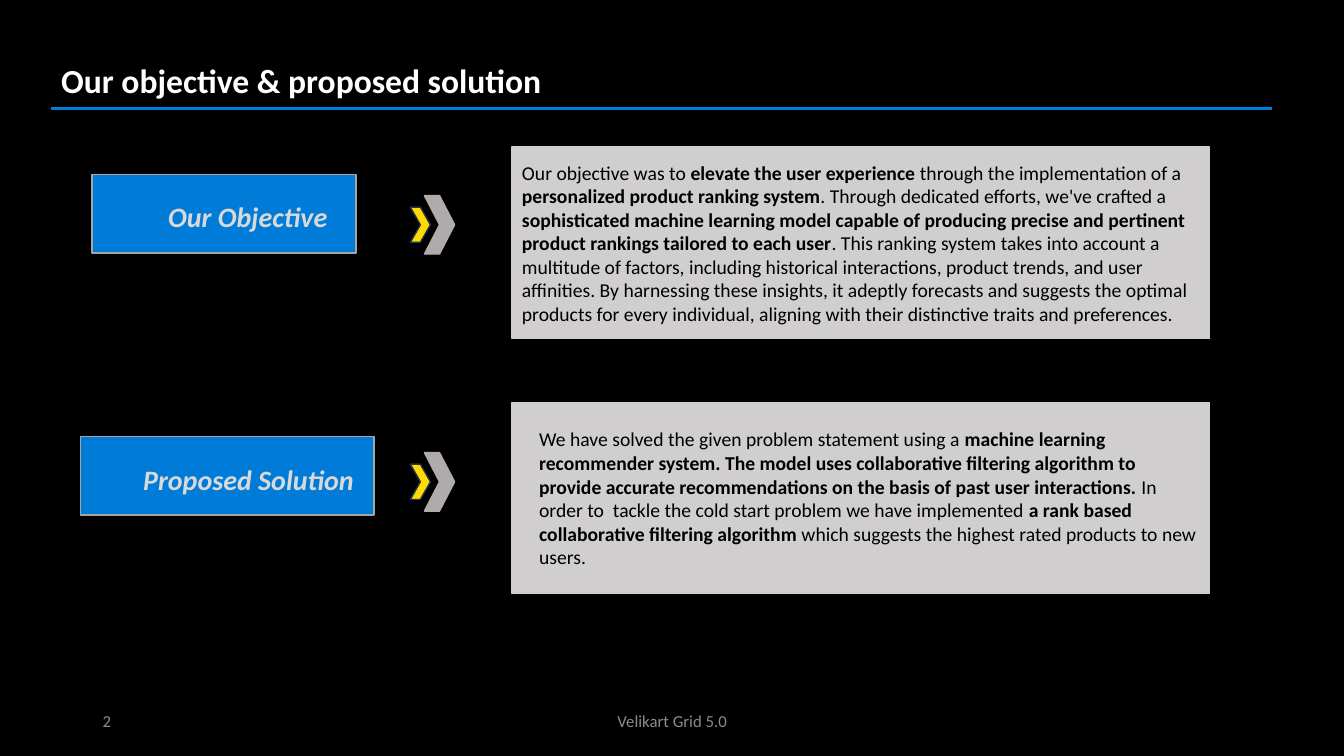
from lxml import etree
from pptx import Presentation, util as u
from pptx.dml.color import RGBColor
from pptx.enum import shapes, text
from pptx.oxml.ns import qn

BLUE, GREY, PANEL = "007CD8", "AFABAB", "D0CECE"
SHAPE, ANCHOR, ALIGN = shapes.MSO_SHAPE, text.MSO_ANCHOR, text.PP_ALIGN


def rgb(value):
    return RGBColor.from_string(value)


class Deck:
    face = "Calibri"

    def __init__(self):
        self.prs = Presentation()
        self.prs.slide_width = u.Inches(13.33)
        self.prs.slide_height = u.Inches(7.5)
        self.slide = self.prs.slides.add_slide(self.prs.slide_layouts[6])
        background = self.slide.background.fill
        background.solid()
        background.fore_color.rgb = rgb("000000")

    def place(self, left, top, width, height):
        across, down = self.prs.slide_width / 100, self.prs.slide_height / 100
        return [int(v) for v in (left * across, top * down, width * across, height * down)]

    def fill_text(self, frame, runs, size, color, align=ALIGN.LEFT, anchor=ANCHOR.TOP,
                  bold=None, italic=None):
        frame.word_wrap = True
        frame.vertical_anchor = anchor
        paragraph = frame.paragraphs[0]
        paragraph.alignment = align
        for words, strong in runs:
            run = paragraph.add_run()
            run.text = words
            if strong:
                run.font.bold = True
        font = paragraph.font
        font.name, font.size, font.color.rgb = self.face, u.Pt(size), rgb(color)
        font.bold, font.italic = bold, italic
        return paragraph

    def label(self, area, words, size, color, **style):
        box = self.slide.shapes.add_textbox(*self.place(*area))
        self.fill_text(box.text_frame, [(words, False)], size, color, **style)

    def shape(self, kind, area, fill, line):
        item = self.slide.shapes.add_shape(kind, *self.place(*area))
        item.shadow.inherit = False
        item.fill.solid()
        item.fill.fore_color.rgb = rgb(fill)
        item.line.color.rgb = rgb(line)
        item.line.width = u.Pt(1)
        return item

    def panel(self, area, runs, indent):
        item = self.shape(SHAPE.RECTANGLE, area, PANEL, PANEL)
        paragraph = self.fill_text(item.text_frame, runs, 14, "000000", anchor=ANCHOR.MIDDLE)
        if indent:
            paragraph._p.get_or_add_pPr().set("marL", str(u.Inches(indent)))

    def chevrons(self, top):
        self.shape(SHAPE.CHEVRON, (30.53, top + 1.53, 1.5, 4.67), "FFDA00", "1E3256")
        self.shape(SHAPE.CHEVRON, (31.58, top, 2.25, 7.73), GREY, GREY)

    def rule(self, left, right, top, color, width):
        x, y, length, _ = self.place(left, top, right - left, 0)
        line = self.slide.shapes.add_connector(shapes.MSO_CONNECTOR.STRAIGHT, x, y, x + length, y)
        line.line.color.rgb = rgb(color)
        line.line.width = u.Pt(width)
        etree.SubElement(line._element.spPr, qn("a:effectLst"))

    def section(self, heading, plate, heading_span, chevron_top, panel_top, runs, indent):
        left, top, width = plate
        self.shape(SHAPE.RECTANGLE, (left, top, width, 10.4), BLUE, "A5A5A5")
        heading_left, heading_width = heading_span
        self.label((heading_left, top + 2.73, heading_width, 5.87), heading, 20, "D9D9D9",
                   align=ALIGN.CENTER, bold=True, italic=True)
        self.chevrons(chevron_top)
        self.panel((38.1, panel_top, 51.9, 25.33), runs, indent)


objective = [
    ("Our objective was to ", False),
    ("elevate the user experience ", True),
    ("through the implementation of a ", False),
    ("personalized product ranking system", True),
    (". Through dedicated efforts, we've crafted a ", False),
    ("sophisticated machine learning model capable of producing precise and pertinent "
     "product rankings tailored to each user", True),
    (". This ranking system takes into account a multitude of factors, including historical "
     "interactions, product trends, and user affinities. By harnessing these insights, it "
     "adeptly forecasts and suggests the optimal products for every individual, aligning "
     "with their distinctive traits and preferences.", False),
]
solution = [
    ("We have solved the given problem statement using a ", False),
    ("machine learning recommender system. The model uses collaborative filtering algorithm "
     "to provide accurate recommendations on the basis of past user interactions. ", True),
    ("In order to  tackle the cold start problem we have implemented ", False),
    ("a rank based collaborative filtering algorithm", True),
    (" which suggests the highest rated products to new users.", False),
]

deck = Deck()
deck.label((3.82, 7.2, 91.73, 6.67), "Our objective & proposed solution", 24, "FFFFFF", bold=True)
deck.rule(3.82, 94.65, 14.4, BLUE, 2.25)
deck.section("Our Objective", (6.83, 23.07, 19.65), (3.82, 29.25), 25.87, 19.47, objective, 0)
deck.section("Proposed Solution", (6, 57.73, 21.83), (7.88, 21.23), 59.87, 53.2, solution, 0.17)
deck.label((6.9, 92.67, 22.5, 5.33), "2", 12, "8C8C8C", anchor=ANCHOR.MIDDLE)
deck.label((33.15, 92.67, 33.75, 5.33), "Velikart Grid 5.0", 12, "8C8C8C",
           align=ALIGN.CENTER, anchor=ANCHOR.MIDDLE)
deck.prs.save("out.pptx")
